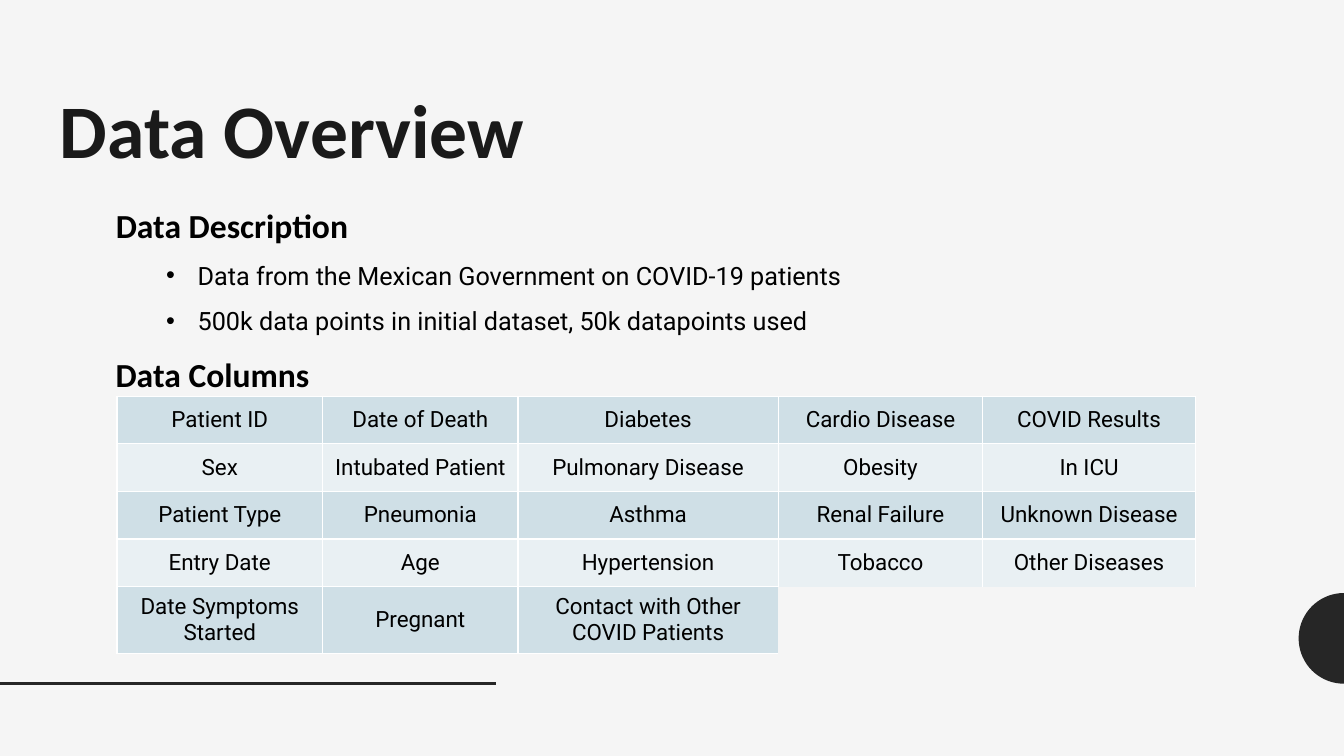
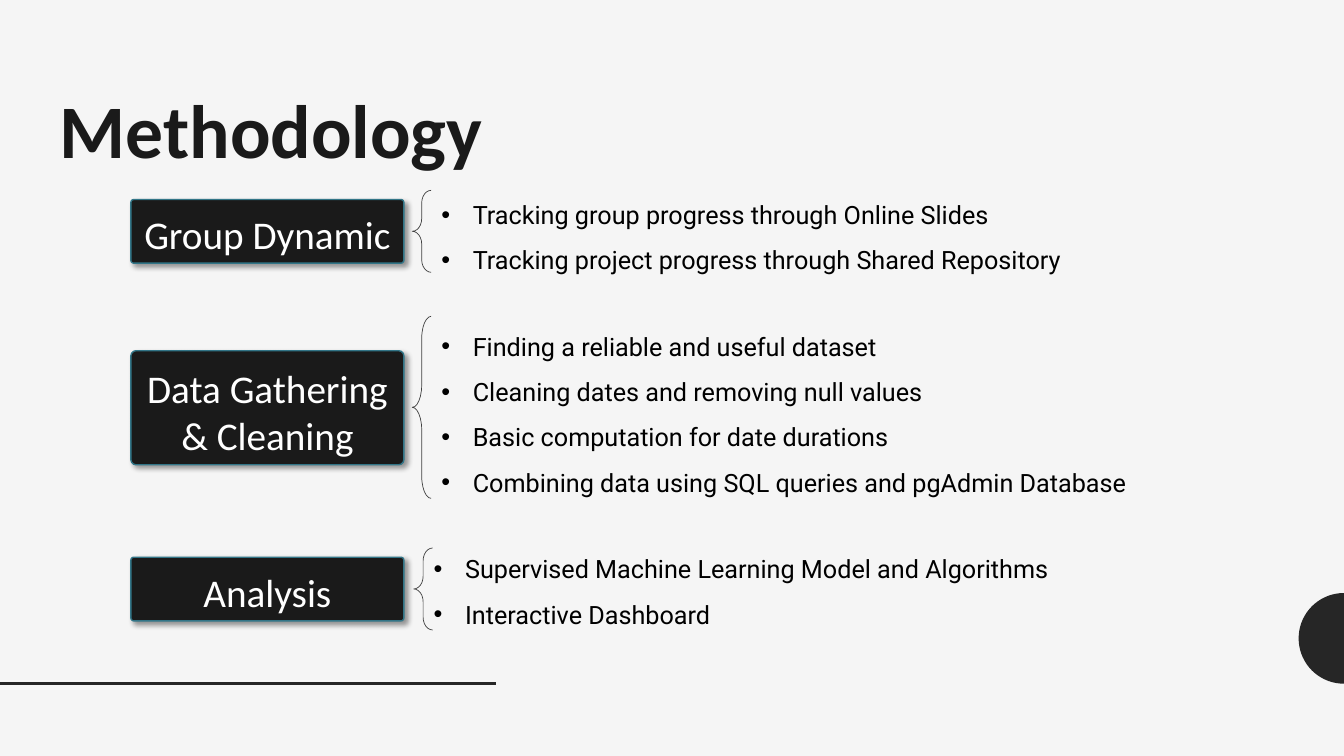
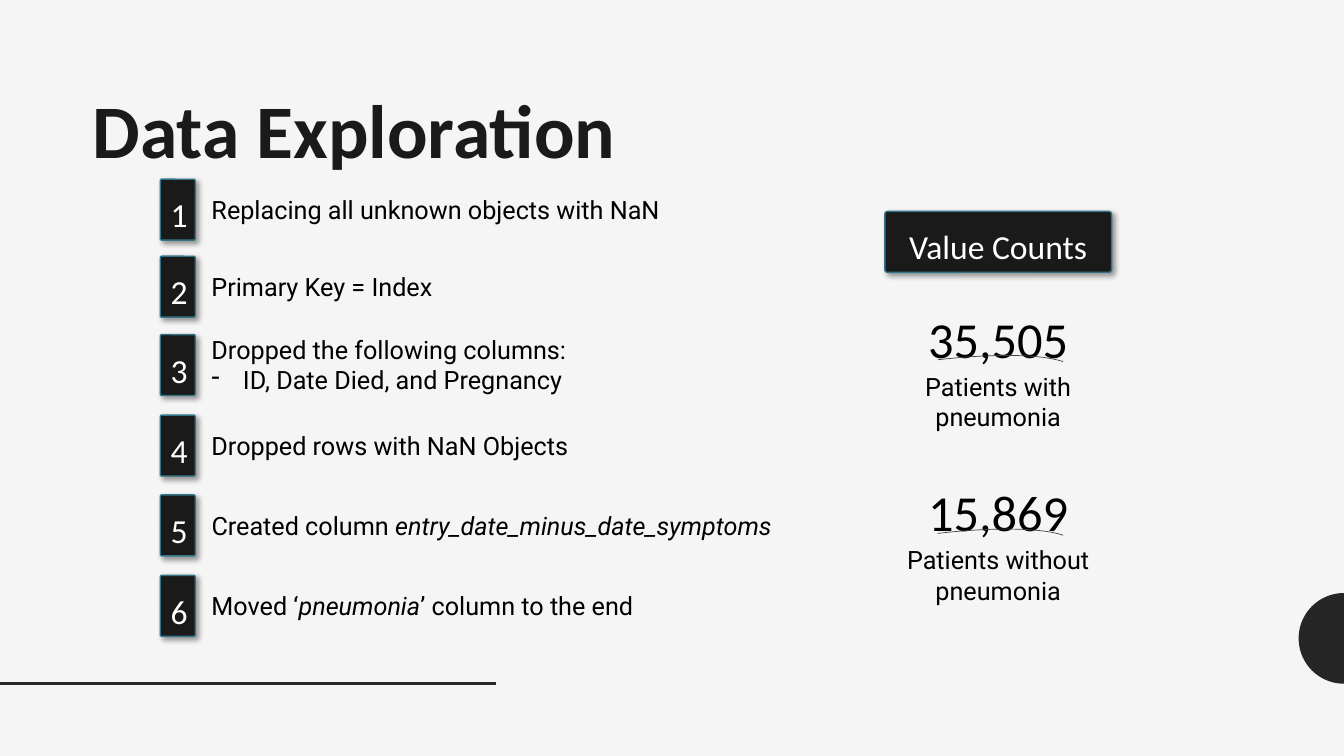
import math

from lxml import etree
from pptx import Presentation
from pptx.dml.color import RGBColor
from pptx.enum.shapes import MSO_CONNECTOR, MSO_SHAPE
from pptx.enum.text import MSO_ANCHOR, MSO_AUTO_SIZE, PP_ALIGN
from pptx.oxml import parse_xml
from pptx.oxml.ns import nsdecls, qn
from pptx.util import Pt

LEFT, CENTER = PP_ALIGN.LEFT, PP_ALIGN.CENTER
TOP, MIDDLE, BOTTOM = MSO_ANCHOR.TOP, MSO_ANCHOR.MIDDLE, MSO_ANCHOR.BOTTOM
NO_FIT = MSO_AUTO_SIZE.NONE
ROUND, BRACE, ARC = MSO_SHAPE.ROUNDED_RECTANGLE, MSO_SHAPE.LEFT_BRACE, MSO_SHAPE.ARC
STRAIGHT = MSO_CONNECTOR.STRAIGHT

WIDE, HIGH = 960, 540
HEAD, BODY = "Calibri", "Roboto"
PAPER, INK, DARK, TRIM = "F5F5F5", "1A1A1A", "262626", "327587"
BLACK, WHITE, GREY = "000000", "FFFFFF", "404040"
BANDS = ("CFDFE6", "E9F0F3")

# Slide 1
FACTS = ["Data from the Mexican Government on COVID-19 patients",
         "500k data points in initial dataset, 50k datapoints used"]
COLS = (147, 139.5, 186, 146, 152)
ROWS = (34, 34, 34, 34, 48)
FIELDS = [
    ["Patient ID", "Date of Death", "Diabetes", "Cardio Disease", "COVID Results"],
    ["Sex", "Intubated Patient", "Pulmonary Disease", "Obesity", "In ICU"],
    ["Patient Type", "Pneumonia", "Asthma", "Renal Failure", "Unknown Disease"],
    ["Entry Date", "Age", "Hypertension", "Tobacco", "Other Diseases"],
    ["Date Symptoms Started", "Pregnant", "Contact with Other COVID Patients", "", ""],
]

# Slide 2: label, (top, height), brace (left, top, height, curve), list box, list
PHASES = [
    (["Group Dynamic"], (142.5, 45.5), (294.5, 136, 58.5, 0.67), (272, 128, 588, 69),
     ["Tracking group progress through Online Slides",
      "Tracking project progress through Shared Repository"]),
    (["Data Gathering", "& Cleaning"], (250.5, 81.5), (294.5, 226, 130, 1.18),
     (272, 222, 564, 134.5),
     ["Finding a reliable and useful dataset",
      "Cleaning dates and removing null values",
      "Basic computation for date durations",
      "Combining data using SQL queries and pgAdmin Database"]),
    (["Analysis"], (398, 45.5), (295.5, 391.5, 58.5, 0.67), (266.5, 381, 544, 69),
     ["Supervised Machine Learning Model and Algorithms",
      "Interactive Dashboard"]),
]

# Slide 3: top, text width, lines; every second part of a line is italic
STEPS = [
    (128, 371.5, [["Replacing all unknown objects with NaN"]]),
    (183, 371.5, [["Primary Key = Index"]]),
    (239, 371.5, [["Dropped the following columns:"], ["ID, Date Died, and Pregnancy"]]),
    (296.5, 285, [["Dropped rows with NaN Objects"]]),
    (353.5, 441.5, [["Created column ", "entry_date_minus_date_symptoms"]]),
    (411, 340.5, [["Moved ‘", "pneumonia", "’ column to the end"]]),
]
COUNTS = [  # top, value, label, label width
    (216, "35,505", "Patients with pneumonia", 124.5),
    (340, "15,869", "Patients without pneumonia", 161.5),
]


def rgb(code):
    return RGBColor.from_string(code)


def place(shape, box):
    shape.left, shape.top, shape.width, shape.height = map(Pt, box)


def frame(shape, anchor=TOP):
    text = shape.text_frame
    text.word_wrap, text.auto_size, text.vertical_anchor = True, NO_FIT, anchor
    return text


def write(text, parts, size, font=BODY, color=BLACK, bold=False, align=LEFT,
          space=1, mark=None, left=0):
    """Add one paragraph to a text frame; every second part is italic."""
    para = text.add_paragraph() if text.text else text.paragraphs[0]
    para.alignment, para.line_spacing, para.space_before = align, space, Pt(0)
    prop = para._p.get_or_add_pPr()
    prop.set("marL", str(Pt(left)))
    prop.set("indent", str(Pt(-22.5 if mark else 0)))
    if mark:
        etree.SubElement(prop, qn("a:buChar")).set("char", mark)
    else:
        etree.SubElement(prop, qn("a:buNone"))
    style = para.font
    style.name, style.size, style.bold = font, Pt(size), bold
    style.color.rgb = rgb(color)
    for n, part in enumerate(parts):
        run = para.add_run()
        run.text = part
        if n % 2:
            run.font.italic = True


def textbox(slide, box, anchor=TOP):
    return frame(slide.shapes.add_textbox(*map(Pt, box)), anchor)


def bullets(text, items):
    for item in items:
        write(text, [item], 18, space=1.5, mark="•", left=58.5)


def plaque(slide, box, lines, size):
    """Dark rounded label with a soft shadow."""
    shape = slide.shapes.add_shape(ROUND, *map(Pt, box))
    shape.adjustments[0] = 0.045
    shape.fill.solid()
    shape.fill.fore_color.rgb = rgb(INK)
    shape.line.color.rgb = rgb(TRIM)
    shape.line.width = Pt(1)
    shape.shadow.inherit = False
    shape._element.spPr.find(qn("a:effectLst")).append(parse_xml(
        f'<a:outerShdw {nsdecls("a")} blurRad="{Pt(4)}" dist="{Pt(3)}" dir="2700000" '
        f'algn="tl" rotWithShape="0"><a:srgbClr val="{BLACK}">'
        '<a:alpha val="40000"/></a:srgbClr></a:outerShdw>'))
    text = frame(shape, BOTTOM)
    for line in lines:
        write(text, [line], size, HEAD, WHITE, align=CENTER)


def stroke(slide, kind, box, bends, turn=0):
    """Thin unfilled outline, such as a brace or an arc."""
    shape = slide.shapes.add_shape(kind, *map(Pt, box))
    for n, bend in enumerate(bends):
        shape.adjustments[n] = bend
    shape.rotation = turn
    shape.fill.background()
    shape.line.color.rgb = rgb(GREY)
    shape.line.width = Pt(0.5)
    shape.shadow.inherit = False


def start(deck, layout, title, left=35.5):
    """Add a slide with the shared half disc, rule and title."""
    slide = deck.slides.add_slide(deck.slide_layouts[layout])
    mid, radius = 456, 32.4
    arc = [(Pt(WIDE - radius * math.sin(math.radians(a))),
            Pt(mid - radius * math.cos(math.radians(a)))) for a in range(0, 181, 5)]
    pen = slide.shapes.build_freeform(*arc[0])
    pen.add_line_segments(arc[1:])
    disc = pen.convert_to_shape()
    disc.fill.solid()
    disc.fill.fore_color.rgb = rgb(DARK)
    disc.line.fill.background()
    disc.shadow.inherit = False
    rule = slide.shapes.add_connector(STRAIGHT, 0, Pt(488), Pt(354), Pt(488))
    rule.line.color.rgb = rgb(DARK)
    rule.line.width = Pt(2)
    etree.SubElement(rule._element.spPr, qn("a:effectLst"))
    head = slide.shapes.title
    place(head, (left, 55.5, 885.5 - left, 72.5))
    write(frame(head), [title], 54, HEAD, INK, True)
    return slide


def border(cell, shown):
    prop = cell._tc.get_or_add_tcPr()
    for side in "LRTB":
        line = etree.SubElement(prop, qn(f"a:ln{side}"))
        line.set("w", str(Pt(1)))
        if shown[side]:
            fill = etree.SubElement(line, qn("a:solidFill"))
            etree.SubElement(fill, qn("a:srgbClr")).set("val", WHITE)
        else:
            etree.SubElement(line, qn("a:noFill"))


def grid(slide, left, top):
    table = slide.shapes.add_table(len(ROWS), len(COLS), Pt(left), Pt(top),
                                   Pt(sum(COLS)), Pt(sum(ROWS))).table
    table.first_row = table.horz_banding = False
    for col, width in zip(table.columns, COLS):
        col.width = Pt(width)
    for row, height in zip(table.rows, ROWS):
        row.height = Pt(height)

    def used(r, c):
        inside = 0 <= r < len(ROWS) and 0 <= c < len(COLS)
        return not inside or bool(FIELDS[r][c])

    for r, names in enumerate(FIELDS):
        for c, name in enumerate(names):
            cell = table.cell(r, c)
            near = {"L": (r, c - 1), "R": (r, c + 1), "T": (r - 1, c), "B": (r + 1, c)}
            border(cell, {side: bool(name) and used(*at) for side, at in near.items()})
            cell.fill.solid()
            cell.fill.fore_color.rgb = rgb(BANDS[r % 2] if name else PAPER)
            cell.vertical_anchor = MIDDLE
            if name:
                write(cell.text_frame, [name], 16, align=CENTER)


def overview(deck):
    slide = start(deck, 1, "Data Overview")
    body = slide.placeholders[1]
    place(body, (75.5, 128, 574, 112.5))
    text = frame(body)
    write(text, ["Data Description"], 24, HEAD, bold=True, space=1.5)
    bullets(text, FACTS)
    grid(slide, 83.5, 283)
    write(textbox(slide, (75.5, 249, 354, 36)), ["Data Columns"], 24, HEAD, bold=True)


def method(deck):
    slide = start(deck, 4, "Methodology")
    *bodies, spare = [s for s in slide.placeholders if s.placeholder_format.idx in range(1, 5)]
    spare._element.getparent().remove(spare._element)
    for body, (label, (top, high), brace, box, items) in zip(bodies, PHASES):
        plaque(slide, (93.5, top, 195, high), label, 28)
        left, peak, tall, curve = brace
        stroke(slide, BRACE, (left, peak, 13.5, tall), (curve, 0.5))
        place(body, box)
        bullets(frame(body), items)


def explore(deck):
    slide = start(deck, 5, "Data Exploration", 59)
    high = 43.5
    for n, (top, width, lines) in enumerate(STEPS, 1):
        plaque(slide, (114.5, top, 25, high), [str(n)], 24)
        tall = 22 * len(lines) + 7
        text = textbox(slide, (144, top + (high - tall) / 2, width, tall))
        first, *rest = lines
        write(text, first, 18)
        for line in rest:
            write(text, line, 18, mark="-", left=22.5)
    mid = 713
    plaque(slide, (mid - 81, 151, 162, high), ["Value Counts"], 24)
    for top, value, label, width in COUNTS:
        write(textbox(slide, (mid - 65.5, top, 131, 51), MIDDLE),
              [value], 36, HEAD, align=CENTER)
        write(textbox(slide, (mid - width / 2, top + 45.5, width, 51)),
              [label], 18, align=CENTER)
        stroke(slide, ARC, (mid - 138.5, top + 41, 193, 37.5), (163.86, 213.4), 353.2)


def main():
    deck = Presentation()
    deck.slide_width, deck.slide_height = Pt(WIDE), Pt(HIGH)
    back = deck.slide_master.background.fill
    back.solid()
    back.fore_color.rgb = rgb(PAPER)
    overview(deck)
    method(deck)
    explore(deck)
    deck.save("out.pptx")


if __name__ == "__main__":
    main()
